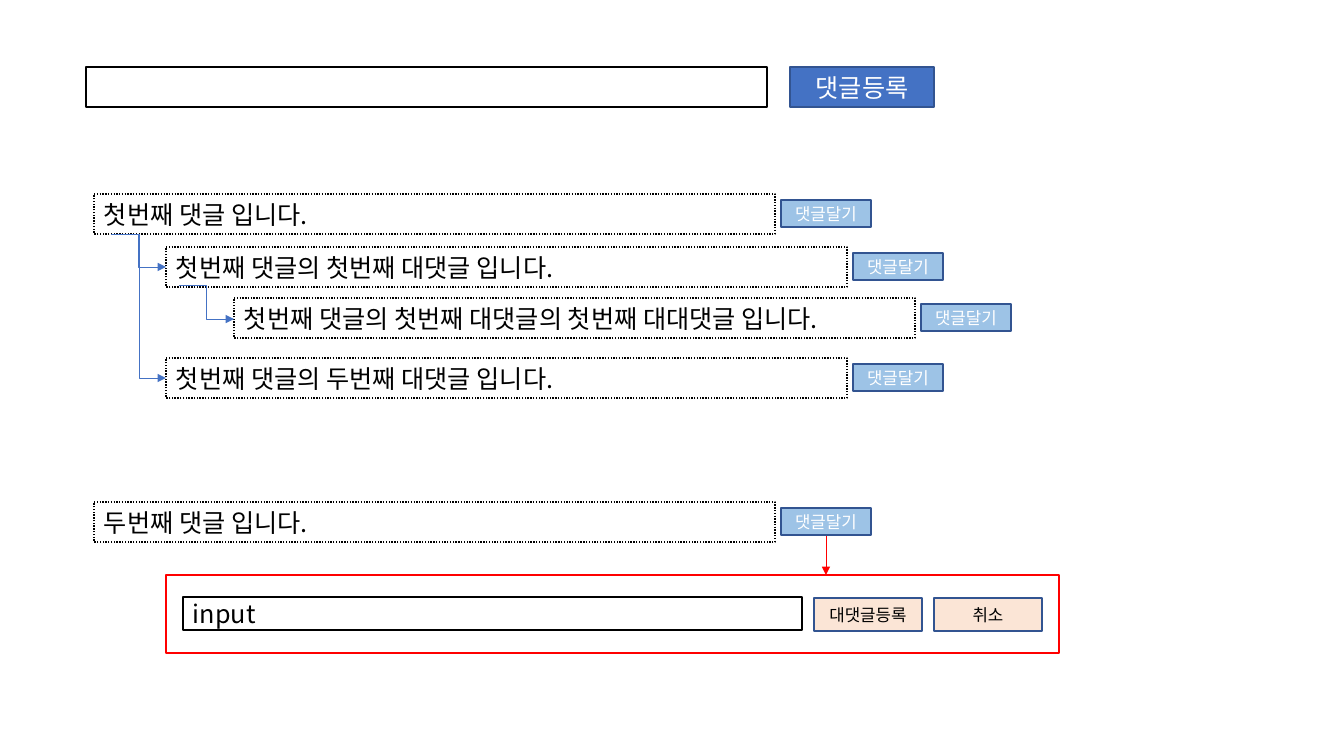
"""Build a wireframe slide of a threaded comment form."""
import dataclasses
import typing

import lxml.etree
import pptx
import pptx.dml.color
import pptx.enum.dml
import pptx.enum.shapes
import pptx.enum.text
import pptx.oxml.ns
import pptx.util

RGBColor = pptx.dml.color.RGBColor
BLACK = RGBColor(0x00, 0x00, 0x00)
WHITE = RGBColor(0xFF, 0xFF, 0xFF)
RED = RGBColor(0xFF, 0x00, 0x00)
BLUE = RGBColor(0x44, 0x72, 0xC4)
NAVY = RGBColor(0x32, 0x54, 0x91)
SKY = RGBColor(0x9D, 0xC3, 0xE6)
PEACH = RGBColor(0xFB, 0xE5, 0xD6)

FONT = "Noto Sans CJK KR"
EMU_PER_PIXEL = 914400 / 100.8
FIELD_WIDTH, FIELD_HEIGHT = 681, 40
REPLY_OFFSET_X, REPLY_OFFSET_Y = 687, 6
REPLY_WIDTH, REPLY_HEIGHT = 90, 27
STRAIGHT = pptx.enum.shapes.MSO_CONNECTOR.STRAIGHT
ELBOW = pptx.enum.shapes.MSO_CONNECTOR.ELBOW


@dataclasses.dataclass(frozen=True)
class Box:
    left: int
    top: int
    width: int
    height: int
    text: str = ""
    line: RGBColor = BLACK
    fill: typing.Optional[RGBColor] = None
    color: RGBColor = BLACK
    size: int = 18
    dotted: bool = False


@dataclasses.dataclass(frozen=True)
class Comment:
    left: int
    top: int
    text: str


@dataclasses.dataclass(frozen=True)
class Arrow:
    start: tuple[int, int]
    end: tuple[int, int]
    color: RGBColor = BLUE
    kind: typing.Any = ELBOW
    bend: int = 50


def emu(pixels: float) -> pptx.util.Emu:
    """Turn pixels into EMU."""
    return pptx.util.Emu(round(pixels * EMU_PER_PIXEL))


def draw_box(page: typing.Any, box: Box) -> None:
    """Draw a rectangle; filled ones are buttons with centred text."""
    shape = page.shapes.add_shape(
        pptx.enum.shapes.MSO_SHAPE.RECTANGLE,
        emu(box.left), emu(box.top), emu(box.width), emu(box.height))
    shape.shadow.inherit = False
    shape.line.color.rgb = box.line
    shape.line.width = pptx.util.Pt(1)
    if box.dotted:
        shape.line.dash_style = pptx.enum.dml.MSO_LINE.ROUND_DOT
    if box.fill is None:
        shape.fill.background()
    else:
        shape.fill.solid()
        shape.fill.fore_color.rgb = box.fill
    if not box.text:
        return
    frame = shape.text_frame
    frame.text = box.text
    frame.word_wrap = True
    frame.vertical_anchor = pptx.enum.text.MSO_ANCHOR.MIDDLE
    para = frame.paragraphs[0]
    align = pptx.enum.text.PP_ALIGN
    para.alignment = align.LEFT if box.fill is None else align.CENTER
    span = para.runs[0]
    span.font.name = FONT
    span.font.size = pptx.util.Pt(box.size)
    span.font.color.rgb = box.color
    east_asian = lxml.etree.SubElement(
        span.font._element, pptx.oxml.ns.qn("a:ea"))
    east_asian.set("typeface", FONT)


def draw_comment(page: typing.Any, comment: Comment) -> None:
    """Draw a comment field with its reply button."""
    draw_box(page, Box(comment.left, comment.top, FIELD_WIDTH, FIELD_HEIGHT,
                       comment.text, dotted=True))
    draw_box(page, Box(comment.left + REPLY_OFFSET_X,
                       comment.top + REPLY_OFFSET_Y,
                       REPLY_WIDTH, REPLY_HEIGHT,
                       "댓글달기", NAVY, SKY, WHITE, 12))


def draw_arrow(page: typing.Any, arrow: Arrow) -> None:
    """Draw a connector ending in a triangle."""
    connector = page.shapes.add_connector(
        arrow.kind, *map(emu, arrow.start + arrow.end))
    connector.line.color.rgb = arrow.color
    connector.line.width = pptx.util.Pt(0.5)
    qn = pptx.oxml.ns.qn
    tail = lxml.etree.SubElement(
        connector.line._get_or_add_ln(), qn("a:tailEnd"))
    tail.set("type", "triangle")
    properties = connector._element.spPr
    lxml.etree.SubElement(properties, qn("a:effectLst"))
    if arrow.kind == ELBOW:
        guides = properties.find(qn("a:prstGeom")).find(qn("a:avLst"))
        guide = lxml.etree.SubElement(guides, qn("a:gd"))
        guide.set("name", "adj1")
        guide.set("fmla", f"val {arrow.bend * 1000}")


COMMENTS = [
    Comment(94, 194, "첫번째 댓글 입니다."),
    Comment(166, 247, "첫번째 댓글의 첫번째 대댓글 입니다."),
    Comment(234, 298, "첫번째 댓글의 첫번째 대댓글의 첫번째 대대댓글 입니다."),
    Comment(166, 358, "첫번째 댓글의 두번째 대댓글 입니다."),
    Comment(94, 502, "두번째 댓글 입니다."),
]
BOXES = [
    Box(86, 67, FIELD_WIDTH, FIELD_HEIGHT),
    Box(790, 67, 144, FIELD_HEIGHT, "댓글등록", NAVY, BLUE, WHITE),
    Box(166, 575, 893, 78, line=RED),
    Box(183, 597, 619, 33, "input"),
    Box(814, 598, 108, 33, "대댓글등록", NAVY, PEACH, size=12),
    Box(934, 598, 108, 33, "취소", NAVY, PEACH, size=12),
]
ARROWS = [
    Arrow((111, 234), (166, 267)),
    Arrow((179, 285), (234, 319)),
    Arrow((139, 234), (166, 378), bend=0),
    Arrow((826, 536), (826, 575), RED, STRAIGHT),
]

deck = pptx.Presentation()
deck.slide_width, deck.slide_height = emu(1344), emu(756)
page = deck.slides.add_slide(deck.slide_layouts[6])
for box in BOXES:
    draw_box(page, box)
for comment in COMMENTS:
    draw_comment(page, comment)
for arrow in ARROWS:
    draw_arrow(page, arrow)
deck.save("out.pptx")
